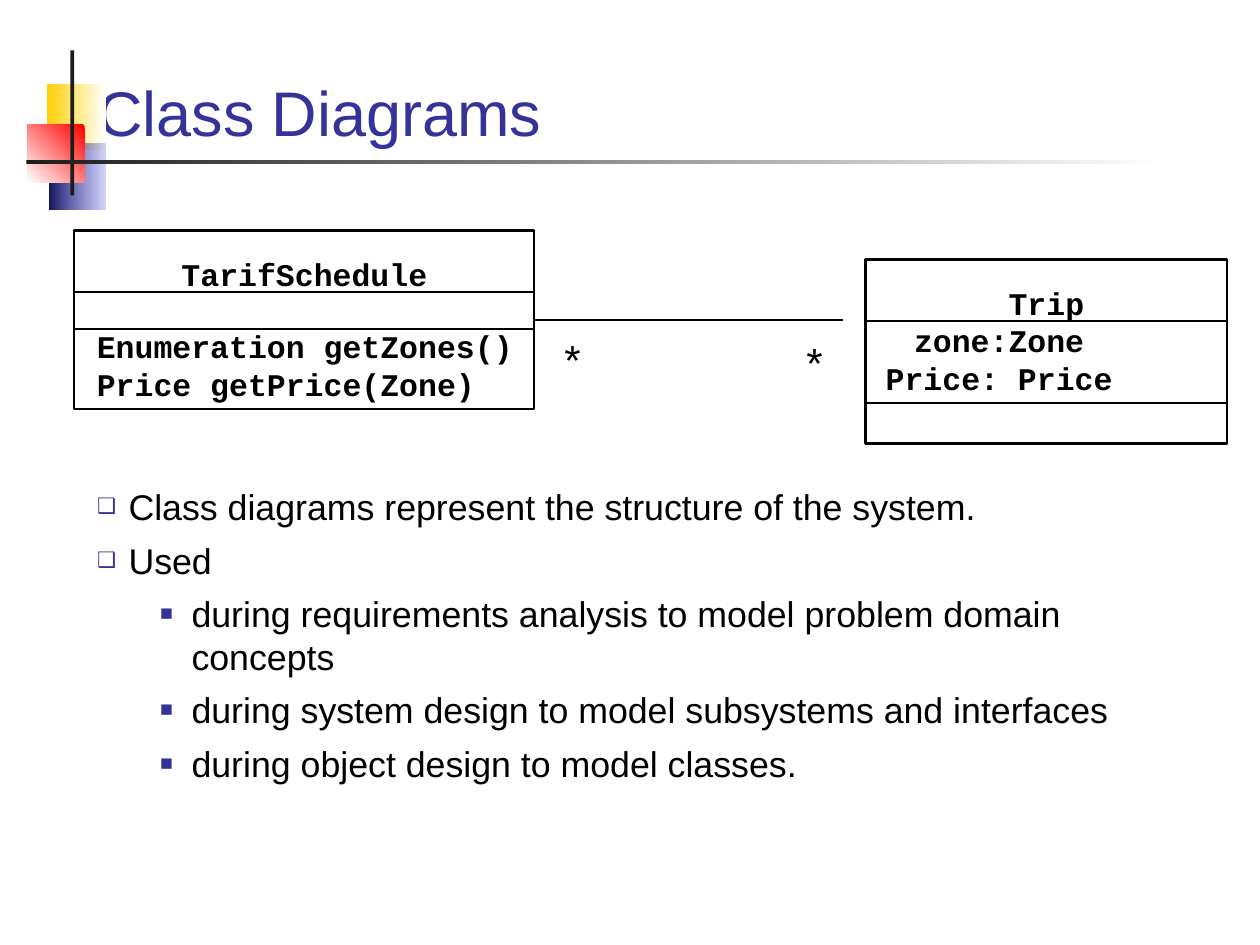
from lxml import etree
from pptx import Presentation
from pptx.dml.color import RGBColor
from pptx.enum.shapes import MSO_CONNECTOR, MSO_SHAPE
from pptx.enum.text import MSO_ANCHOR, MSO_AUTO_SIZE, PP_ALIGN
from pptx.oxml.ns import qn
from pptx.util import Inches, Pt

RECTANGLE = MSO_SHAPE.RECTANGLE
STRAIGHT = MSO_CONNECTOR.STRAIGHT
LEFT, CENTER = PP_ALIGN.LEFT, PP_ALIGN.CENTER
TOP, MIDDLE, BOTTOM = MSO_ANCHOR.TOP, MSO_ANCHOR.MIDDLE, MSO_ANCHOR.BOTTOM
COLORS = {
    "text": "000000", "accent": "333399", "bar": "1C1C1C", "white": "FFFFFF",
    "yellow": "FFCF01", "red": "FF0000", "navy": "17175E", "blue": "3333CC",
}
BULLETS = ["❑", "■"]
CODE = {"font_name": "Courier New", "size": 18, "bold": True}


def color(name):
    """Return the named palette colour."""
    return RGBColor.from_string(COLORS[name])


def place(shape, box):
    """Move a shape to a box of left, top, width and height in inches."""
    shape.left, shape.top, shape.width, shape.height = map(Inches, box)


def add_bullet(paragraph, level):
    """Give a paragraph its hanging indent and bullet."""
    properties = paragraph._p.get_or_add_pPr()
    properties.set("marL", str(Inches(0.25 + 0.5 * level)))
    properties.set("indent", str(-Inches(0.25)))
    bullet_color = etree.SubElement(properties, qn("a:buClr"))
    etree.SubElement(bullet_color, qn("a:srgbClr"), val=COLORS["accent"])
    etree.SubElement(properties, qn("a:buSzPct"), val="60000")
    etree.SubElement(properties, qn("a:buChar"), char=BULLETS[level])


def write_text(shape, lines, *, size, font_name="Arial", bold=False, ink="text",
               align=LEFT, anchor=TOP, wrap=True, insets=(0.1, 0.05),
               levels=None, space_before=0):
    """Write one formatted paragraph for each line."""
    frame = shape.text_frame
    frame.auto_size = MSO_AUTO_SIZE.NONE
    frame.word_wrap = wrap
    frame.vertical_anchor = anchor
    frame.margin_left = frame.margin_right = Inches(insets[0])
    frame.margin_top = frame.margin_bottom = Inches(insets[1])
    for index, line in enumerate(lines):
        paragraph = frame.add_paragraph() if index else frame.paragraphs[0]
        paragraph.text = line
        paragraph.alignment = align
        paragraph.space_before = Pt(space_before if index else 0)
        if levels:
            paragraph.level = levels[index]
            add_bullet(paragraph, levels[index])
        font = paragraph.font
        font.name, font.size, font.bold = font_name, Pt(size), bold
        font.color.rgb = color(ink)


def add_label(slide, box, lines, **text_format):
    """Add a text box with formatted lines."""
    label = slide.shapes.add_textbox(*map(Inches, box))
    write_text(label, lines, **text_format)


def add_rectangle(slide, box):
    """Add a rectangle without fill, line or shadow."""
    rectangle = slide.shapes.add_shape(RECTANGLE, *map(Inches, box))
    rectangle.shadow.inherit = False
    rectangle.fill.background()
    rectangle.line.fill.background()
    return rectangle


def add_gradient(slide, box, start, end, angle=0, end_opacity=100):
    """Add a rectangle that fades from one colour to another."""
    rectangle = add_rectangle(slide, box)
    rectangle.fill.gradient()
    rectangle.fill.gradient_angle = angle
    for stop, name in zip(rectangle.fill.gradient_stops, (start, end)):
        stop.color.rgb = color(name)
    if end_opacity < 100:
        end_color = list(rectangle._element.spPr.iter(qn("a:srgbClr")))[-1]
        etree.SubElement(end_color, qn("a:alpha"), val=str(end_opacity * 1000))


def add_decoration(slide, left, top):
    """Add the coloured squares and the crossing bars of the title."""
    add_gradient(slide, (left + 0.16, top + 0.27, 0.47, 0.52), "yellow", "white")
    add_gradient(slide, (left + 0.18, top + 0.74, 0.45, 0.52), "navy", "blue",
                 end_opacity=20)
    add_gradient(slide, (left + 0.01, top + 0.59, 0.45, 0.46), "red", "white",
                 angle=225)
    vertical_bar = add_rectangle(slide, (left + 0.35, top, 0.03, 1.15))
    vertical_bar.fill.solid()
    vertical_bar.fill.fore_color.rgb = color("bar")
    add_gradient(slide, (left, top + 0.87, 9, 0.03), "bar", "white")


def add_class(slide, box, name, heights):
    """Add a class with its name and stacked compartments."""
    left, top, width, _ = box
    name_height = heights[0]
    for height in heights:
        compartment = add_rectangle(slide, (left, top, width, height))
        compartment.line.color.rgb = color("text")
        compartment.line.width = Pt(1.25)
        top += height
    add_label(slide, (left, box[1], width, name_height), [name], align=CENTER,
              anchor=BOTTOM, insets=(0, 0), **CODE)


def add_association(slide, box):
    """Add the line between the classes and its multiplicities."""
    left, top, width, height = box
    line = slide.shapes.add_connector(
        STRAIGHT, *map(Inches, (left, top, left + width, top)))
    line.line.color.rgb = color("text")
    line.line.width = Pt(0.75)
    etree.SubElement(line._element.spPr, qn("a:effectLst"))
    for label_left, label_top in ((left + 0.14, top + 0.06),
                                  (left + 2.06, top + 0.08)):
        add_label(slide, (label_left, label_top, 0.33, height), ["*"], size=24,
                  align=CENTER, anchor=MIDDLE, wrap=False)


def add_class_diagram(slide, box):
    """Add both classes, their members and the association."""
    left, top, width, _ = box
    add_class(slide, (left, top, 3.65, 1.42), "TarifSchedule", (0.49, 0.29, 0.64))
    add_label(slide, (left + 0.08, top + 0.72, 3.62, 0.7),
              ["Enumeration getZones()", "Price getPrice(Zone)"], **CODE)
    add_association(slide, (left + 3.65, top + 0.71, 2.45, 0.5))
    trip_left = left + width - 2.87
    add_class(slide, (trip_left, top + 0.23, 2.87, 1.46), "Trip", (0.49, 0.65, 0.32))
    add_label(slide, (trip_left + 0.16, top + 0.72, 1.8, 0.6),
              ["zone:Zone", "Price: Price"], align=CENTER, wrap=False,
              insets=(0, 0), **CODE)


def fill_title(slide, box):
    """Place and write the slide title."""
    title = slide.shapes.title
    place(title, box)
    write_text(title, ["Class Diagrams"], size=36, ink="accent", anchor=BOTTOM)


def fill_body(slide, box):
    """Place and write the bulleted list."""
    body = slide.placeholders[1]
    place(body, box)
    lines = [
        "Class diagrams represent the structure of the system.",
        "Used",
        "during requirements analysis to model problem domain concepts",
        "during system design to model subsystems and interfaces",
        "during object design to model classes.",
    ]
    write_text(body, lines, size=20.4, levels=[0, 0, 1, 1, 1], space_before=6)


def main():
    """Build and save the presentation."""
    presentation = Presentation()
    presentation.slide_width, presentation.slide_height = Inches(10), Inches(7.5)
    slide = presentation.slides.add_slide(presentation.slide_layouts[1])
    add_decoration(slide, 0.21, 0.4)
    fill_title(slide, (0.67, 0.28, 8.66, 0.95))
    fill_body(slide, (0.67, 3.8, 8.66, 2.58))
    add_class_diagram(slide, (0.59, 1.83, 9.15, 1.69))
    presentation.save("out.pptx")


if __name__ == "__main__":
    main()
